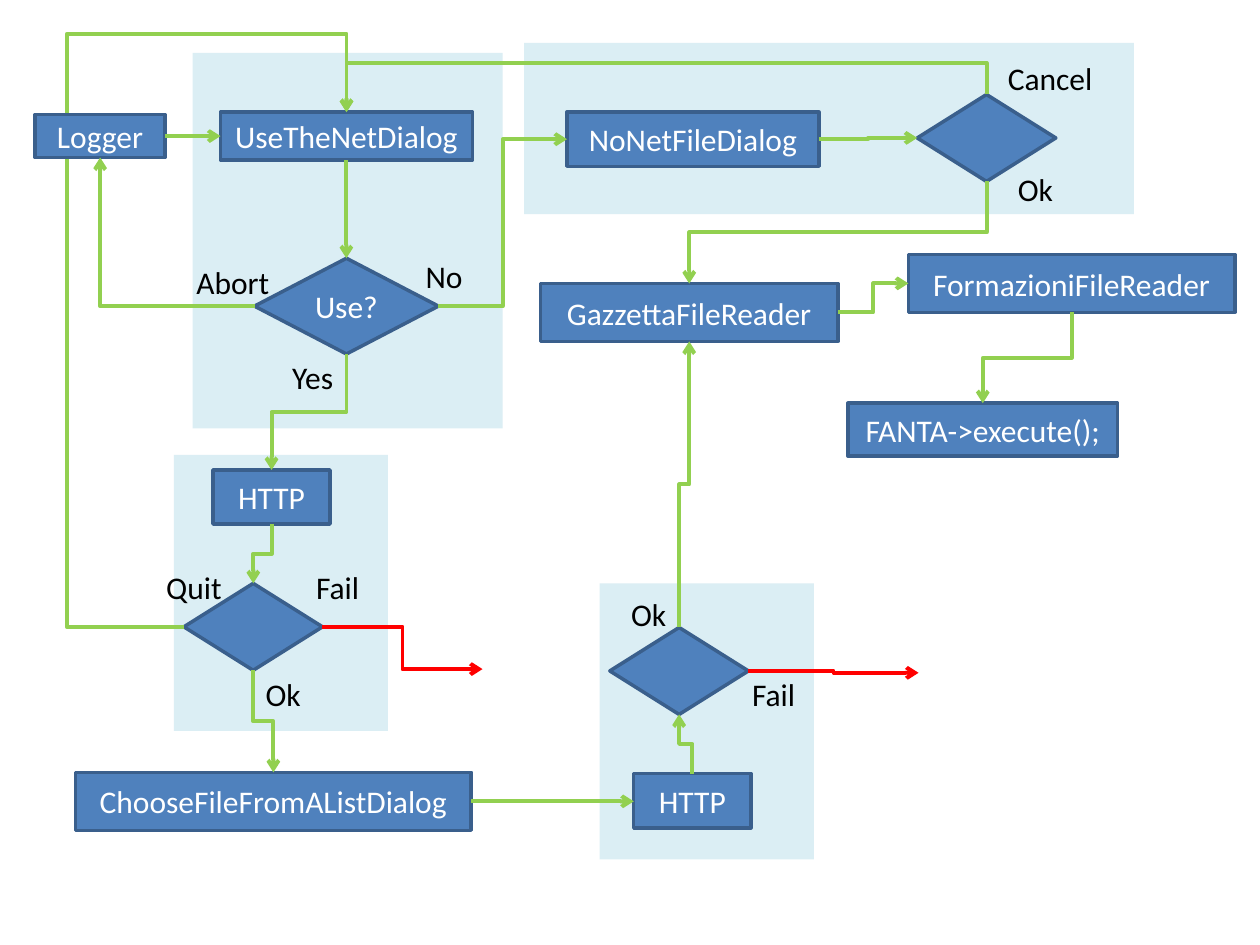
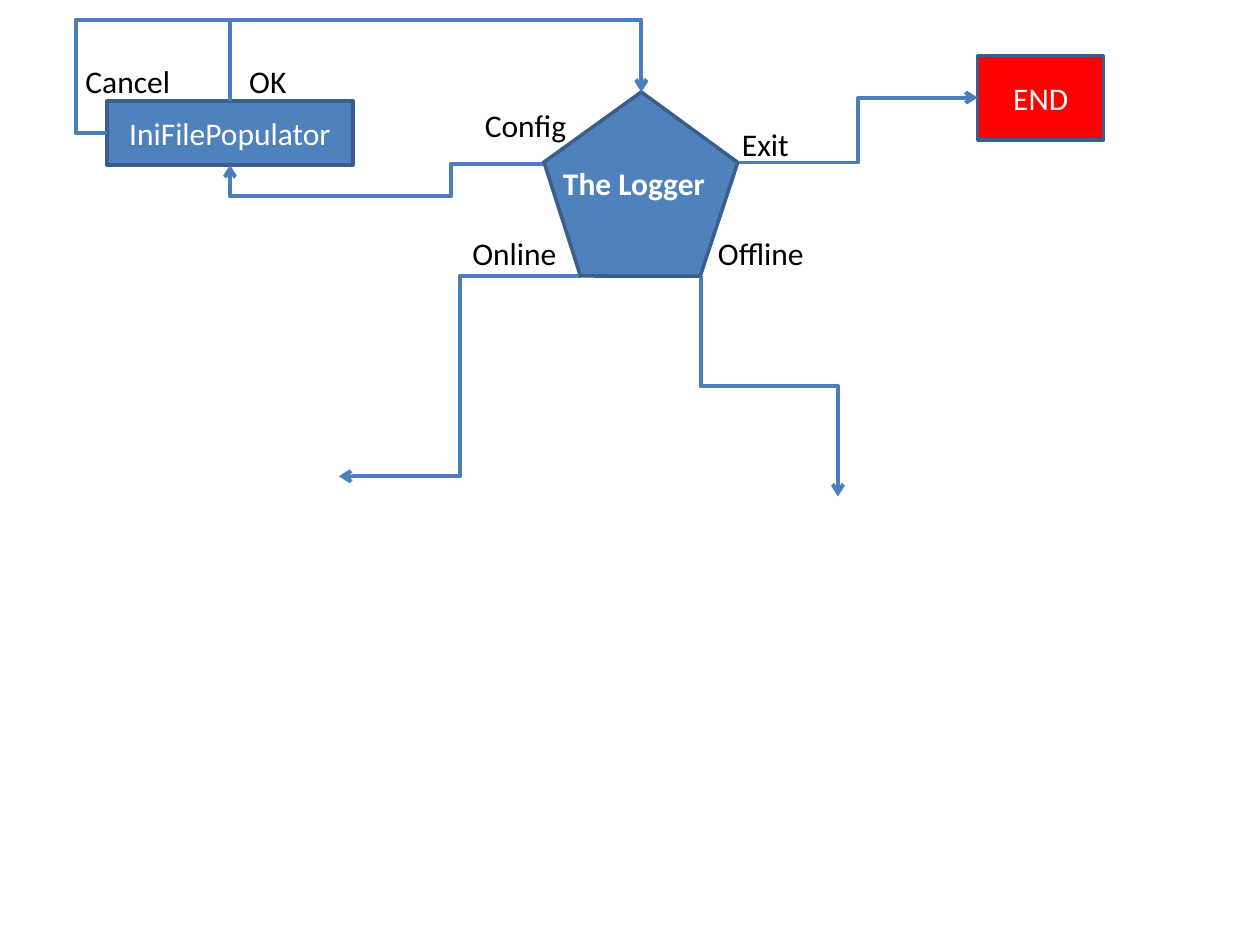
import pptx
import pptx.util
import pptx.dml.color
import pptx.enum.shapes
import pptx.enum.text
import pptx.oxml.ns
from lxml import etree

Inches = pptx.util.Inches
Kind = pptx.enum.shapes.MSO_SHAPE
Wire = pptx.enum.shapes.MSO_CONNECTOR
Align = pptx.enum.text.PP_ALIGN
qn = pptx.oxml.ns.qn

HUES = {"panel": "DBEEF4", "box": "4F81BD", "edge": "3A5F8C", "flow": "92D050",
        "fail": "FF0000", "blue": "4B7EBC", "ink": "000000", "white": "FFFFFF"}
TOP, LEFT, BASE, RIGHT = range(4)  # connection sites


def hue(name):
    return pptx.dml.color.RGBColor.from_string(HUES[name])


class Chart:
    """Flow chart style and the slide being drawn."""
    font, size = "Calibri", 18

    def __init__(self):
        self.deck = pptx.Presentation()
        self.deck.slide_width, self.deck.slide_height = Inches(10), Inches(7.5)

    def page(self, tone):
        self.slide = self.deck.slides.add_slide(self.deck.slide_layouts[6])
        self.tone = tone

    def say(self, frame, text, color, bold=False):
        run = frame.paragraphs[0].add_run()
        run.text = text
        run.font.name, run.font.size = self.font, pptx.util.Pt(self.size)
        run.font.bold = bold
        run.font.color.rgb = hue(color)

    def shape(self, kind, x, y, w, h, text="", fill="box", edge="edge"):
        item = self.slide.shapes.add_shape(kind, Inches(x), Inches(y), Inches(w), Inches(h))
        item.shadow.inherit = False
        item.fill.solid()
        item.fill.fore_color.rgb = hue(fill)
        if edge:
            item.line.color.rgb = hue(edge)
            item.line.width = pptx.util.Pt(2)
        else:
            item.line.fill.background()
        if text:
            frame = item.text_frame
            frame.vertical_anchor = pptx.enum.text.MSO_ANCHOR.MIDDLE
            frame.paragraphs[0].alignment = Align.CENTER
            self.say(frame, text, "white")
        return item

    def panel(self, x, y, w, h):
        return self.shape(Kind.RECTANGLE, x, y, w, h, fill="panel", edge=None)

    def step(self, x, y, w, h, text, fill="box"):
        return self.shape(Kind.FLOWCHART_PROCESS, x, y, w, h, text, fill)

    def test(self, x, y, w=1.1, h=0.69, text=""):
        return self.shape(Kind.FLOWCHART_DECISION, x, y, w, h, text)

    def label(self, x, y, w, text, color="ink", bold=False):
        item = self.slide.shapes.add_textbox(Inches(x), Inches(y), Inches(w), Inches(0.4))
        frame = item.text_frame
        frame.word_wrap = False
        frame.auto_size = pptx.enum.text.MSO_AUTO_SIZE.SHAPE_TO_FIT_TEXT
        self.say(frame, text, color, bold)

    def spot(self, end):
        """Point of a (shape, site) pair, or of a plain (x, y) in inches."""
        item, site = end
        if isinstance(item, (int, float)):
            return Inches(item), Inches(site)
        dx, dy = {TOP: (1, 0), LEFT: (0, 1), BASE: (1, 2), RIGHT: (2, 1)}[site]
        return item.left + item.width * dx // 2, item.top + item.height * dy // 2

    def link(self, start, end, turns=None, down=False, tone=None, tip="tailEnd"):
        """Elbow arrow; turns are the x and y where it bends, in order.
        down: the first leg is vertical. Without turns it bends halfway."""
        (x1, y1), (x2, y2) = self.spot(start), self.spot(end)
        dx, dy = x2 - x1, y2 - y1
        flat = abs(dy) < Inches(0.005) and turns is None
        line = self.slide.shapes.add_connector(
            Wire.STRAIGHT if flat else Wire.ELBOW, x1, y1, x2, y2)
        for item, join in ((start, line.begin_connect), (end, line.end_connect)):
            if not isinstance(item[0], (int, float)):
                join(*item)
        if not flat:
            self.bend(line, x1, y1, dx, dy, turns, down)
        line.line.color.rgb = hue(tone or self.tone)
        line.line.width = pptx.util.Pt(2.25)
        form = line.element.spPr
        etree.SubElement(form.find(qn("a:ln")), qn("a:" + tip), type="arrow")
        etree.SubElement(form, qn("a:effectLst"))

    def bend(self, line, x, y, dx, dy, turns, down):
        # Turn and mirror the preset so that its first leg runs the right way
        if down:
            angle = 90 if dx < 0 < dy else 270
            flips = (False, False) if angle == 90 else (dy > 0, dx < 0)
            wide, high = abs(dy), abs(dx)
        else:
            angle = 180 if dx < 0 else 0
            flips = False, (dy > 0) if dx < 0 else (dy < 0)
            wide, high = abs(dx), abs(dy)
        line.left, line.top = x + (dx - wide) // 2, y + (dy - high) // 2
        line.width, line.height = wide, high
        line.rotation = angle
        form = line.element.spPr
        frame = form.find(qn("a:xfrm"))
        frame.set("rot", str(angle * 60000))
        for name, flip in zip(("flipH", "flipV"), flips):
            frame.set(name, str(int(flip)))
        # Bends as shares of the span, along the two axes by turns
        axes = [(y, dy), (x, dx)] if down else [(x, dx), (y, dy)]
        shares = [0.5] if turns is None else [
            (Inches(turn) - axes[i % 2][0]) / axes[i % 2][1] for i, turn in enumerate(turns)]
        preset = form.find(qn("a:prstGeom"))
        preset.set("prst", f"bentConnector{len(shares) + 2}")
        guides = preset.find(qn("a:avLst"))
        for i, share in enumerate(shares, 1):
            etree.SubElement(guides, qn("a:gd"), name=f"adj{i}",
                             fmla=f"val {round(share * 100000)}")


art = Chart()

# Slide 1: flow of the file readers
art.page("flow")
for area in ((1.38, 3.61, 1.7, 2.19), (1.53, 0.42, 2.46, 2.98),
             (4.76, 4.63, 1.7, 2.19), (4.16, 0.34, 4.84, 1.36)):
    art.panel(*area)

# Return line, behind the logger box
dialog = art.step(1.75, 0.89, 2, 0.38, "UseTheNetDialog")
first = art.test(1.46, 4.63)
art.link((first, LEFT), (dialog, TOP), [0.53, 0.27])

# Steps and tests
logger = art.step(0.28, 0.91, 1.03, 0.34, "Logger")
nonet = art.step(4.5, 0.89, 2, 0.43, "NoNetFileDialog")
http = art.step(1.69, 3.73, 0.93, 0.43, "HTTP")
choose = art.step(0.6, 6.13, 3.14, 0.46, "ChooseFileFromAListDialog")
fetch = art.step(5.03, 6.14, 0.93, 0.43, "HTTP")
reader = art.step(4.29, 2.25, 2.36, 0.46, "GazzettaFileReader")
lineup = art.step(7.21, 2.02, 2.59, 0.46, "FormazioniFileReader")
fanta = art.step(6.73, 3.2, 2.14, 0.42, "FANTA->execute();")
use = art.test(2.02, 2.05, 1.46, 0.76, "Use?")
pick = art.test(7.28, 0.75)
last = art.test(4.84, 4.98)

# Arrows
art.link((1.31, 1.08), (1.75, 1.08))
art.link((dialog, BASE), (use, TOP), down=True)
art.link((use, LEFT), (logger, BASE), [])
art.link((use, RIGHT), (nonet, LEFT))
art.link((use, BASE), (http, TOP), down=True)
art.link((nonet, RIGHT), (pick, LEFT))
art.link((pick, TOP), (dialog, TOP), [0.5], down=True)
art.link((pick, BASE), (reader, TOP), down=True)
art.link((http, BASE), (first, TOP), down=True)
art.link((first, BASE), (choose, TOP), down=True)
art.link((first, RIGHT), (3.83, 5.31), tone="fail")
art.link((3.74, 6.36), (5.03, 6.36))
art.link((fetch, TOP), (last, BASE), down=True)
art.link((last, TOP), (reader, BASE), down=True)
art.link((last, RIGHT), (7.29, 5.34), tone="fail")
art.link((reader, RIGHT), (lineup, LEFT))
art.link((lineup, BASE), (fanta, TOP), down=True)

# Answers
for x, y, w, text in (
        (1.46, 2.04, 0.79, "Abort"), (3.28, 1.99, 0.5, "No"), (2.22, 2.79, 0.53, "Yes"),
        (7.9, 0.42, 0.88, "Cancel"), (7.98, 1.3, 0.48, "Ok"),
        (5.87, 5.31, 0.55, "Fail"), (4.91, 4.67, 0.48, "Ok"),
        (2.01, 5.31, 0.48, "Ok"), (2.41, 4.46, 0.55, "Fail"), (1.22, 4.46, 0.65, "Quit")):
    art.label(x, y, w, text)

# Slide 2: the logger and its exits
art.page("blue")
ini = art.shape(Kind.RECTANGLE, 0.85, 0.8, 1.95, 0.51, "IniFilePopulator")
stop = art.step(7.76, 0.44, 1, 0.67, "END", "fail")
art.link((4.32, 1.28), (ini, BASE), [1.3, 3.58, 1.56], down=True)
art.link((4.61, 2.19), (2.69, 3.78))
art.link((5.56, 2.19), (6.65, 3.94), down=True)
art.link((5.86, 1.29), (stop, LEFT))
hub = art.shape(Kind.REGULAR_PENTAGON, 4.36, 0.87, 1.54, 1.46)
hub.rotation = 144.2
art.link((5.09, 0.73), (ini, TOP), [0.16], down=True, tip="headEnd")
art.link((5.09, 0.73), (ini, LEFT), [0.16, 0.6], down=True, tip="headEnd")

# Names of the exits
art.label(4.37, 1.25, 1.33, "The Logger", "white", True)
for x, y, w, text in (
        (3.75, 0.79, 0.86, "Config"), (3.65, 1.81, 0.88, "Online"),
        (5.6, 1.81, 0.9, "Offline"), (5.79, 0.94, 0.58, "Exit"),
        (1.88, 0.44, 0.5, "OK"), (0.58, 0.44, 0.88, "Cancel")):
    art.label(x, y, w, text)

art.deck.save("out.pptx")
